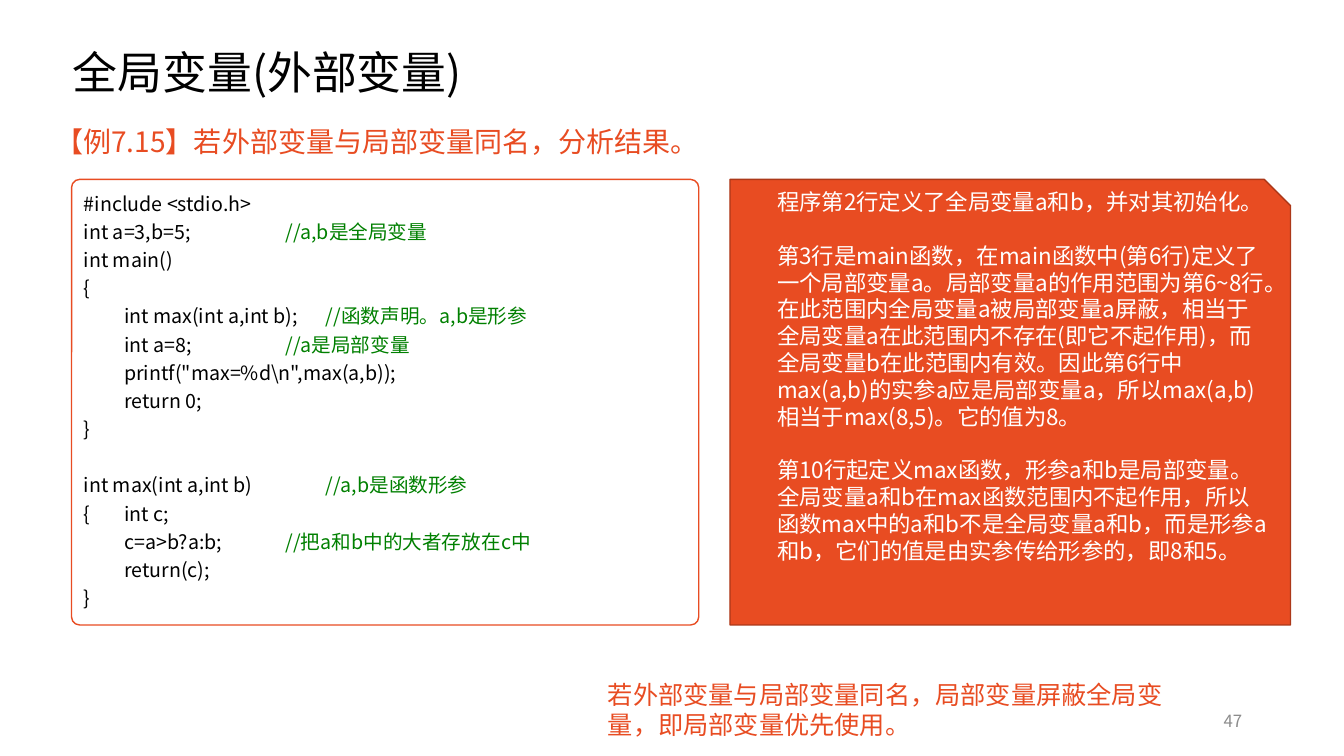
from lxml import etree
from pptx import Presentation
from pptx.dml.color import RGBColor
from pptx.enum.shapes import MSO_SHAPE
from pptx.enum.text import MSO_ANCHOR, PP_ALIGN
from pptx.oxml.ns import qn
from pptx.util import Inches, Pt

TOP, MIDDLE = MSO_ANCHOR.TOP, MSO_ANCHOR.MIDDLE
LEFT, RIGHT = PP_ALIGN.LEFT, PP_ALIGN.RIGHT
ROUND, SNIP = MSO_SHAPE.ROUNDED_RECTANGLE, MSO_SHAPE.SNIP_1_RECTANGLE

FACE = "Noto Sans CJK SC"
BLACK, WHITE, GREY = "000000", "FFFFFF", "8C8C8C"
ORANGE, RUST, GREEN = "E84C22", "AC3819", "008000"

TITLE = "全局变量(外部变量)"
TASK = "【例7.15】若外部变量与局部变量同名，分析结果。"
# Each block is a list of lines; each line is code and an optional remark.
CODE = [
    [
        ("#include <stdio.h>",),
        ("int a=3,b=5;\t\t\t", "//a,b是全局变量"),
        ("int main()",),
        ("{",),
        ("\tint max(int a,int b);\t", "//函数声明。a,b是形参"),
        ("\tint a=8;\t\t\t", "//a是局部变量"),
        ('\tprintf("max=%d\\n",max(a,b));',),
        ("\treturn 0;",),
        ("}",),
    ],
    [
        ("int max(int a,int b)\t\t", "//a,b是函数形参"),
        ("{\tint c;",),
        ("\tc=a>b?a:b;\t\t", "//把a和b中的大者存放在c中"),
        ("\treturn(c);",),
        ("}",),
    ],
]
NOTES = [
    "程序第2行定义了全局变量a和b，并对其初始化。",
    "第3行是main函数，在main函数中(第6行)定义了一个局部变量a。局部变量a的作用范围为第6~8行。"
    "在此范围内全局变量a被局部变量a屏蔽，相当于全局变量a在此范围内不存在(即它不起作用)，"
    "而全局变量b在此范围内有效。因此第6行中max(a,b)的实参a应是局部变量a，"
    "所以max(a,b)相当于max(8,5)。它的值为8。",
    "第10行起定义max函数，形参a和b是局部变量。全局变量a和b在max函数范围内不起作用，"
    "所以函数max中的a和b不是全局变量a和b，而是形参a和b，它们的值是由实参传给形参的，即8和5。",
]
RULE = "若外部变量与局部变量同名，局部变量屏蔽全局变量，即局部变量优先使用。"
PAGE = "47"

ROW, HIGH = 1.78, 4.42  # top and height shared by both panels
TAB, STOPS = 0.4, 8

deck = Presentation()
deck.slide_width, deck.slide_height = Inches(13.33), Inches(7.5)
slide = deck.slides.add_slide(deck.slide_layouts[5])


def tint(code):
    return RGBColor.from_string(code)


def style(run, size, color):
    run.font.size, run.font.name = Pt(size), FACE
    run.font.color.rgb = tint(color)
    east = etree.SubElement(run.font._element, qn("a:ea"))
    east.set("typeface", FACE)


def write(shape, lines, size, anchor=TOP, **form):
    """Fill a shape with lines, each a list of (text, colour) runs."""
    frame = shape.text_frame
    frame.word_wrap, frame.vertical_anchor = True, anchor
    for i, line in enumerate(lines):
        par = frame.paragraphs[0] if i == 0 else frame.add_paragraph()
        for key, value in {"alignment": LEFT, **form}.items():
            setattr(par, key, value)
        for text, color in line:
            run = par.add_run()
            run.text = text
            style(run, size, color)
    return frame.paragraphs


def label(box, lines, size, color, **form):
    shape = slide.shapes.add_textbox(*map(Inches, box))
    return write(shape, [[(line, color)] for line in lines], size, **form)


def panel(kind, left, width, bend, fill, edge):
    shape = slide.shapes.add_shape(kind, *map(Inches, (left, ROW, width, HIGH)))
    shape.adjustments[0] = bend
    shape.shadow.inherit = False
    shape.fill.solid()
    shape.fill.fore_color.rgb = tint(fill)
    shape.line.color.rgb = tint(edge)
    shape.line.width = Pt(1)
    return shape


def add_tabs(par):
    stops = etree.SubElement(par._p.get_or_add_pPr(), qn("a:tabLst"))
    for n in range(1, STOPS + 1):
        etree.SubElement(stops, qn("a:tab"), pos=str(Inches(TAB * n)), algn="l")


head = slide.shapes.title
head.left, head.top, head.width, head.height = map(Inches, (0.62, 0.02, 11.5, 1.45))
write(head, [[(TITLE, BLACK)]], 32, MIDDLE, line_spacing=0.9)

label((0.45, 1.12, 12, 0.6), [TASK], 20, ORANGE, line_spacing=1.2)

listing = panel(ROUND, 0.71, 6.22, 0.018, WHITE, ORANGE)
lines = [list(zip(line, (BLACK, GREEN))) for block in CODE for line in block]
rows = write(listing, lines, 14, line_spacing=1.2)
rows[len(CODE[0])].space_before = Pt(20)
for row in rows:
    add_tabs(row)

panel(SNIP, 7.24, 5.56, 0.059, ORANGE, RUST)
for par in label((7.61, 1.82, 5.1, 3.87), NOTES, 16, WHITE)[1:]:
    par.space_before = Pt(19)

label((9.42, 6.95, 3, 0.4), [PAGE], 12, GREY, anchor=MIDDLE, alignment=RIGHT)
label((5.93, 6.69, 5.92, 0.71), [RULE], 18, ORANGE)

deck.save("out.pptx")
